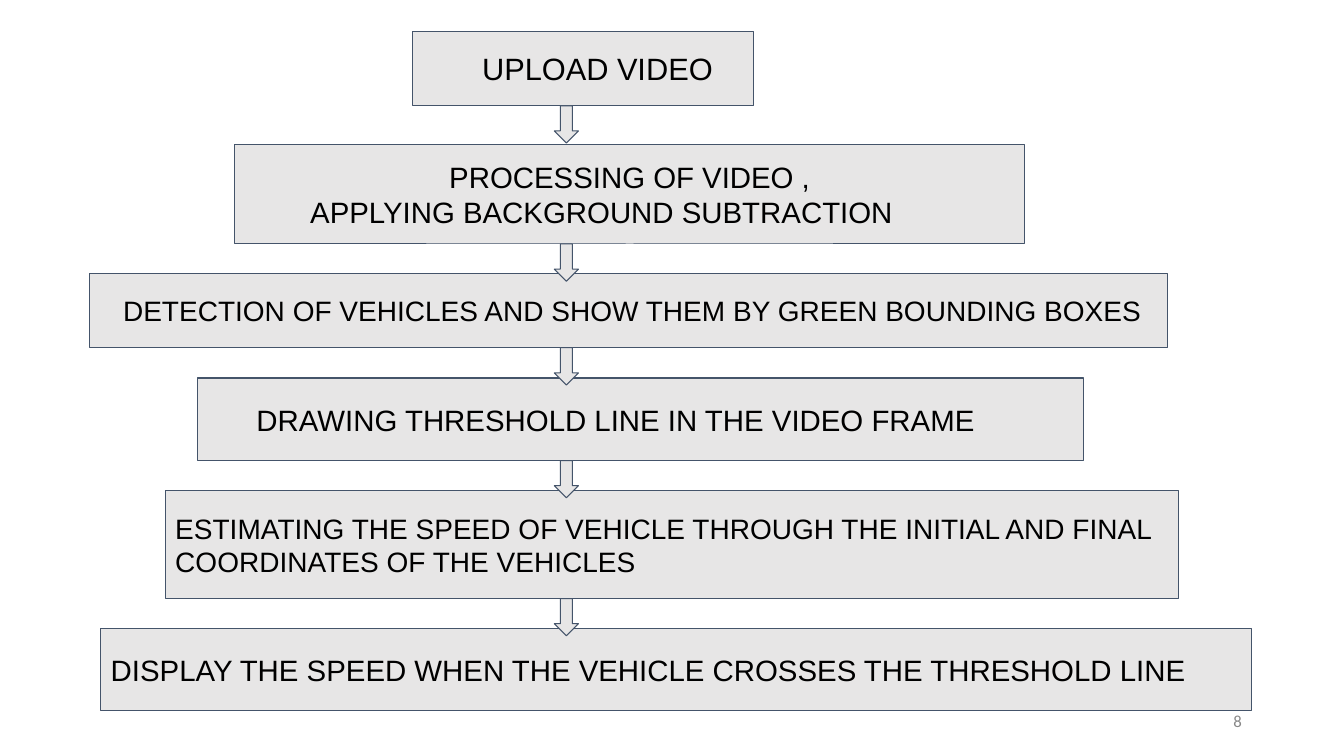
import dataclasses

import pptx
import pptx.dml.color
import pptx.enum.shapes
import pptx.enum.text
import pptx.util

Pt = pptx.util.Pt
Shape = pptx.enum.shapes.MSO_SHAPE
Align = pptx.enum.text.PP_ALIGN


@dataclasses.dataclass(frozen=True)
class Theme:
    fill: str = "E7E6E6"
    line: str = "44546A"
    text: str = "000000"
    muted: str = "888888"
    body_font: str = "Arial"
    number_font: str = "Calibri"
    large: int = 22
    medium: int = 21
    small: int = 20
    number: int = 12


THEME = Theme()
ARROW_CENTER, ARROW_WIDTH, ARROW_HEIGHT = 404.6, 17.3, 26.6

# Steps: left, top, width, height, type size, (line, indent) pairs
STEPS = [
    (294.5, 22.3, 244.1, 53.3, THEME.large, [("UPLOAD VIDEO", 42.8)]),
    (167.8, 103, 563.8, 71.3, THEME.medium,
     [("PROCESSING OF VIDEO ,", 146), ("APPLYING BACKGROUND SUBTRACTION", 46.7)]),
    (64.1, 195.1, 769.7, 53.3, THEME.small,
     [("DETECTION OF VEHICLES AND SHOW THEM BY GREEN BOUNDING BOXES", 16.7)]),
    (141.1, 270, 632.9, 59, THEME.medium,
     [("DRAWING THRESHOLD LINE IN THE VIDEO FRAME", 35)]),
    (118.1, 350.6, 723.6, 77, THEME.small,
     [("ESTIMATING THE SPEED OF VEHICLE THROUGH THE INITIAL AND FINAL "
       "COORDINATES OF THE VEHICLES", 0)]),
    (72, 448.6, 822.2, 59, THEME.medium,
     [("DISPLAY THE SPEED WHEN THE VEHICLE CROSSES THE THRESHOLD LINE", 0)]),
]


def color(value):
    return pptx.dml.color.RGBColor.from_string(value)


def write(para, text, size, font=THEME.body_font, ink=THEME.text,
          align=Align.LEFT, indent=0):
    """Write one formatted paragraph."""
    para.alignment = align
    if indent:
        para._p.get_or_add_pPr().set("marL", str(int(Pt(indent))))
    span = para.add_run()
    span.text = text
    span.font.size = Pt(size)
    span.font.name = font
    span.font.color.rgb = color(ink)


def set_frame(box, margin):
    frame = box.text_frame
    frame.word_wrap = True
    frame.vertical_anchor = pptx.enum.text.MSO_ANCHOR.MIDDLE
    frame.margin_left = frame.margin_right = Pt(7.2)
    frame.margin_top = frame.margin_bottom = Pt(margin)
    return frame


def add_outlined(page, kind, left, top, width, height):
    """Add a grey preset shape with a thin outline."""
    shape = page.shapes.add_shape(kind, Pt(left), Pt(top), Pt(width), Pt(height))
    shape.shadow.inherit = False
    shape.fill.solid()
    shape.fill.fore_color.rgb = color(THEME.fill)
    shape.line.color.rgb = color(THEME.line)
    shape.line.width = Pt(0.75)
    return shape


def add_step(page, left, top, width, height, size, lines):
    box = add_outlined(page, Shape.RECTANGLE, left, top, width, height)
    frame = set_frame(box, 7.2)
    for index, (text, indent) in enumerate(lines):
        para = frame.add_paragraph() if index else frame.paragraphs[0]
        write(para, text, size, indent=indent)


def add_arrow(page, top):
    add_outlined(page, Shape.DOWN_ARROW, ARROW_CENTER - ARROW_WIDTH / 2, top,
                 ARROW_WIDTH, ARROW_HEIGHT)


def add_page_number(page, text):
    box = page.shapes.add_textbox(Pt(678.2), Pt(500.4), Pt(216), Pt(28.8))
    frame = set_frame(box, 3.6)
    write(frame.paragraphs[0], text, THEME.number, font=THEME.number_font,
          ink=THEME.muted, align=Align.RIGHT)


def main():
    deck = pptx.Presentation()
    deck.slide_width, deck.slide_height = Pt(960), Pt(540)
    page = deck.slides.add_slide(deck.slide_layouts[6])

    add_page_number(page, "8")

    # Flow of steps
    for step in STEPS:
        add_step(page, *step)

    # An arrow hangs from the bottom of every step but the last
    for left, top, width, height, size, lines in STEPS[:-1]:
        add_arrow(page, top + height)

    deck.save("out.pptx")


if __name__ == "__main__":
    main()
